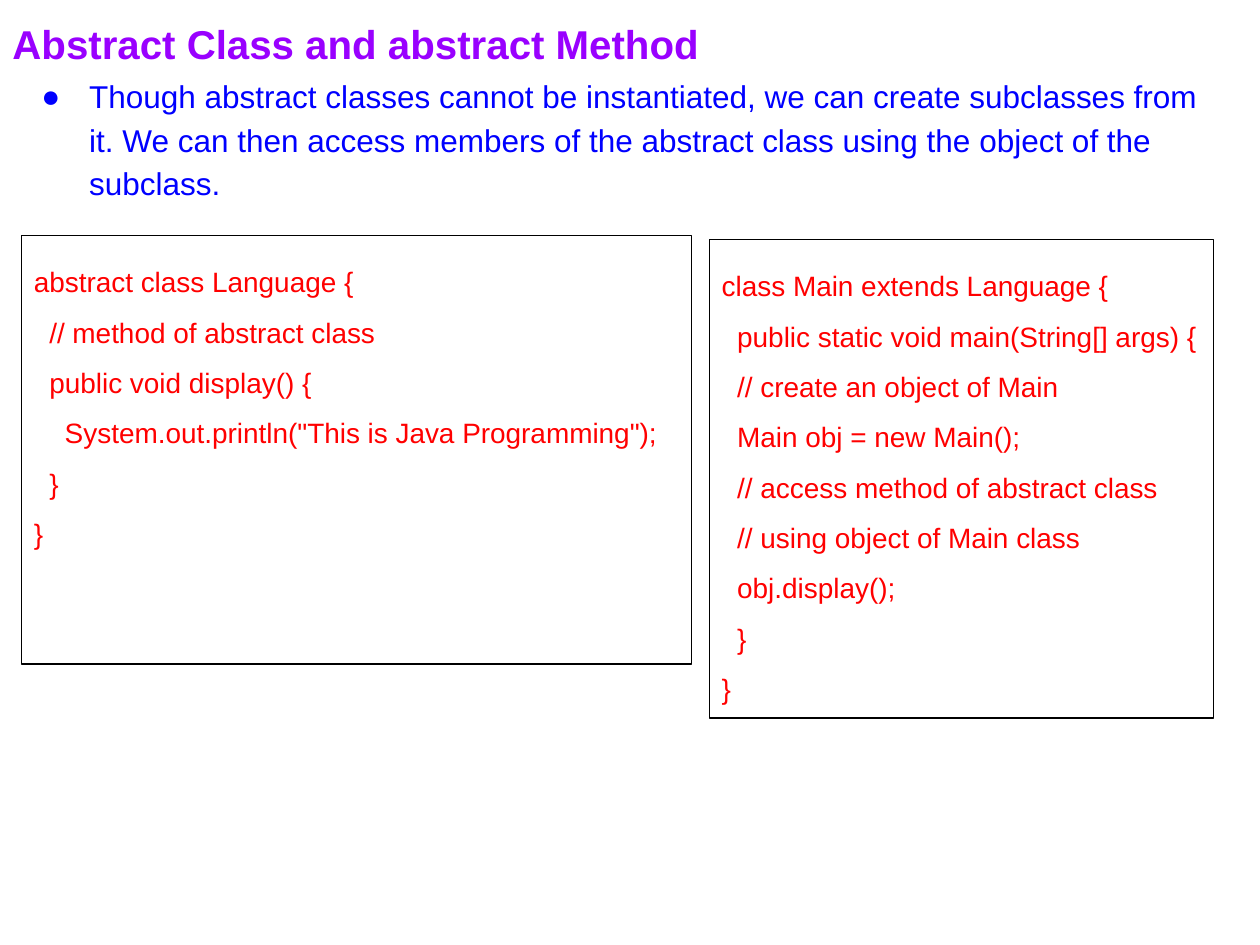
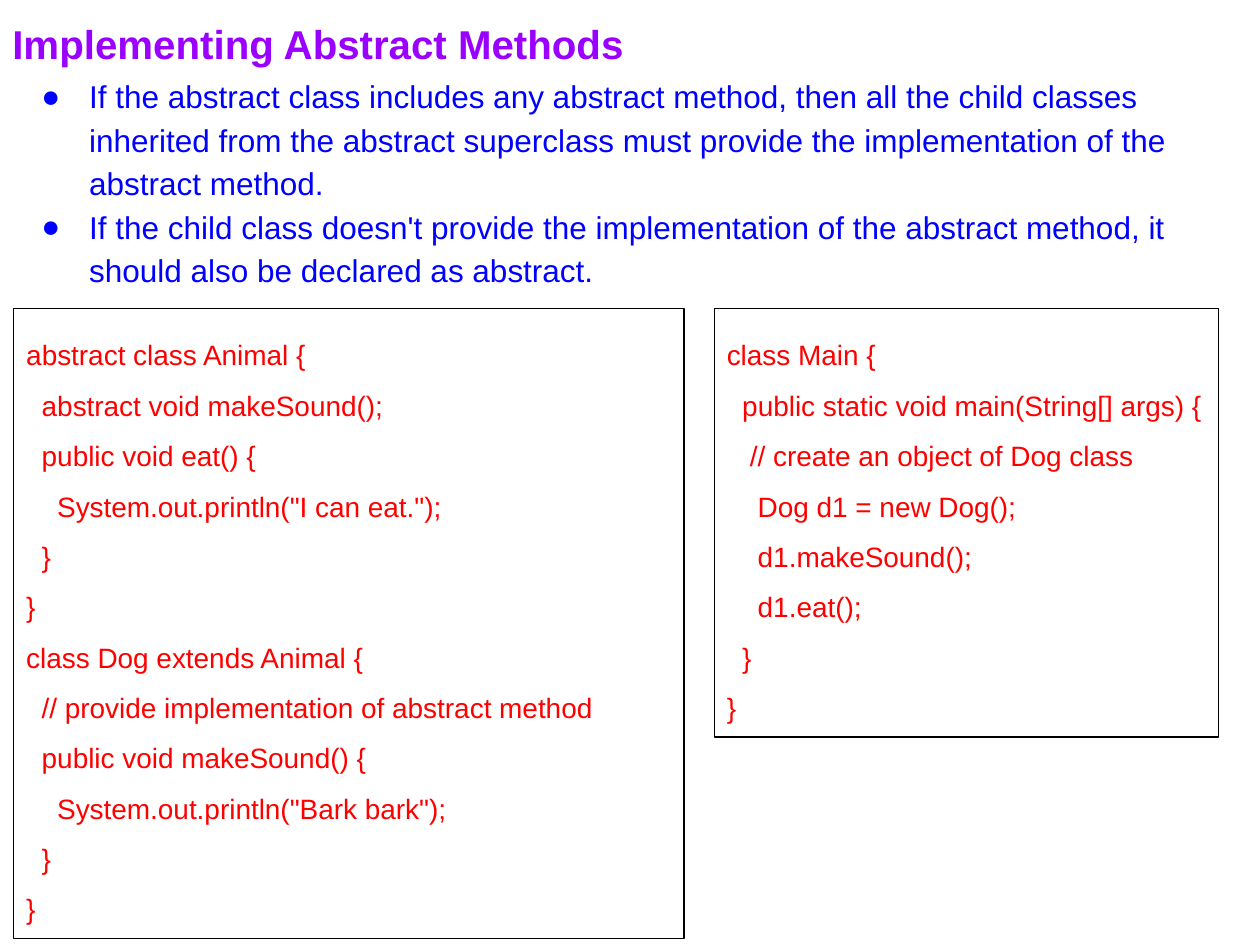
from dataclasses import dataclass

import pptx
import pptx.dml.color
import pptx.enum.shapes
import pptx.enum.text
import pptx.oxml.ns
import pptx.util
from lxml import etree


@dataclass(frozen=True)
class TextStyle:
    size: int
    color: str
    spacing: float
    bold: bool = False


@dataclass(frozen=True)
class Theme:
    font: str = "Arial"
    border: str = "000000"
    border_width: float = 0.75
    title: TextStyle = TextStyle(23, "9900FF", 1.15, bold=True)
    bullet: TextStyle = TextStyle(18, "0000FF", 1.15)
    code: TextStyle = TextStyle(16, "FF0000", 1.5)


@dataclass(frozen=True)
class Box:
    """A place on the grid; its height follows from its lines of text."""
    col: float
    row: float
    cols: float
    lines: int


@dataclass(frozen=True)
class CodePanel:
    box: Box
    code: str


@dataclass(frozen=True)
class Lesson:
    title: str
    bullets: tuple[str, ...]
    bullet_lines: int
    panels: tuple[CodePanel, ...]


THEME = Theme()
WIDTH, HEIGHT = pptx.util.Inches(10), pptx.util.Inches(7.5)
COL, ROW = WIDTH / 100, HEIGHT / 75
INSET = pptx.util.Inches(0.1)
LINE_PITCH = 1.2
BULLET_INDENT = pptx.util.Inches(0.5)
BULLET_HANG = pptx.util.Inches(-0.38)
LEFT_COLS, RIGHT_COLS = 53.2, 40

LESSONS = (
    Lesson(
        "Abstract Class and abstract Method",
        ("Though abstract classes cannot be instantiated, we can create subclasses from it. "
         "We can then access members of the abstract class using the object of the subclass.",),
        3,
        (
            CodePanel(Box(1.7, 18.7, LEFT_COLS, 8), """\
abstract class Language {
  // method of abstract class
  public void display() {
    System.out.println("This is Java Programming");
  }
}"""),
            CodePanel(Box(56.3, 19, RIGHT_COLS, 9), """\
class Main extends Language {
  public static void main(String[] args) {
  // create an object of Main
  Main obj = new Main();
  // access method of abstract class
  // using object of Main class
  obj.display();
  }
}"""),
        ),
    ),
    Lesson(
        "Implementing Abstract Methods",
        ("If the abstract class includes any abstract method, then all the child classes "
         "inherited from the abstract superclass must provide the implementation of the "
         "abstract method.",
         "If the child class doesn't provide the implementation of the abstract method, "
         "it should also be declared as abstract."),
        5,
        (
            CodePanel(Box(1.1, 24.5, LEFT_COLS, 12), """\
abstract class Animal {
  abstract void makeSound();
  public void eat() {
    System.out.println("I can eat.");
  }
}
class Dog extends Animal {
  // provide implementation of abstract method
  public void makeSound() {
    System.out.println("Bark bark");
  }
}"""),
            CodePanel(Box(56.7, 24.5, RIGHT_COLS, 8), """\
class Main {
  public static void main(String[] args) {
   // create an object of Dog class
    Dog d1 = new Dog();
    d1.makeSound();
    d1.eat();
  }
}"""),
        ),
    ),
)


def rgb(color: str) -> pptx.dml.color.RGBColor:
    return pptx.dml.color.RGBColor.from_string(color)


def bounds(box: Box, style: TextStyle) -> tuple[int, int, int, int]:
    line = pptx.util.Pt(style.size * LINE_PITCH * style.spacing)
    return (round(box.col * COL), round(box.row * ROW),
            round(box.cols * COL), box.lines * line + 2 * INSET)


def add_bullet(p, color: str) -> None:
    pPr = p._p.get_or_add_pPr()
    pPr.set("marL", str(BULLET_INDENT))
    pPr.set("indent", str(BULLET_HANG))
    qn = pptx.oxml.ns.qn
    clr = etree.SubElement(pPr, qn("a:buClr"))
    etree.SubElement(clr, qn("a:srgbClr"), val=color)
    etree.SubElement(pPr, qn("a:buFont"), typeface=THEME.font)
    etree.SubElement(pPr, qn("a:buChar"), char="●")


def write(sp, paragraphs: list[str], style: TextStyle, bulleted: bool = False) -> None:
    tf = sp.text_frame
    tf.word_wrap = True
    tf.vertical_anchor = pptx.enum.text.MSO_ANCHOR.TOP
    tf.margin_left = tf.margin_right = tf.margin_top = tf.margin_bottom = INSET
    for i, text in enumerate(paragraphs):
        p = tf.add_paragraph() if i else tf.paragraphs[0]
        if bulleted:
            add_bullet(p, style.color)
        p.alignment = pptx.enum.text.PP_ALIGN.LEFT
        p.line_spacing = style.spacing
        r = p.add_run()
        r.text = text
        r.font.name = THEME.font
        r.font.size = pptx.util.Pt(style.size)
        r.font.bold = style.bold
        r.font.color.rgb = rgb(style.color)


def add_code_panel(s, panel: CodePanel) -> None:
    sp = s.shapes.add_shape(pptx.enum.shapes.MSO_SHAPE.RECTANGLE,
                            *bounds(panel.box, THEME.code))
    sp.shadow.inherit = False
    sp.fill.background()
    sp.line.color.rgb = rgb(THEME.border)
    sp.line.width = pptx.util.Pt(THEME.border_width)
    write(sp, panel.code.splitlines(), THEME.code)


def add_lesson(prs, lesson: Lesson) -> None:
    s = prs.slides.add_slide(prs.slide_layouts[6])
    title = s.shapes.add_textbox(*bounds(Box(0, 0, 99.4, 1), THEME.title))
    write(title, [lesson.title], THEME.title)
    bullets = s.shapes.add_textbox(
        *bounds(Box(1.1, 4.7, 97.4, lesson.bullet_lines), THEME.bullet))
    write(bullets, list(lesson.bullets), THEME.bullet, bulleted=True)
    for panel in lesson.panels:
        add_code_panel(s, panel)


def main() -> None:
    prs = pptx.Presentation()
    prs.slide_width, prs.slide_height = WIDTH, HEIGHT
    for lesson in LESSONS:
        add_lesson(prs, lesson)
    prs.save("out.pptx")


if __name__ == "__main__":
    main()
